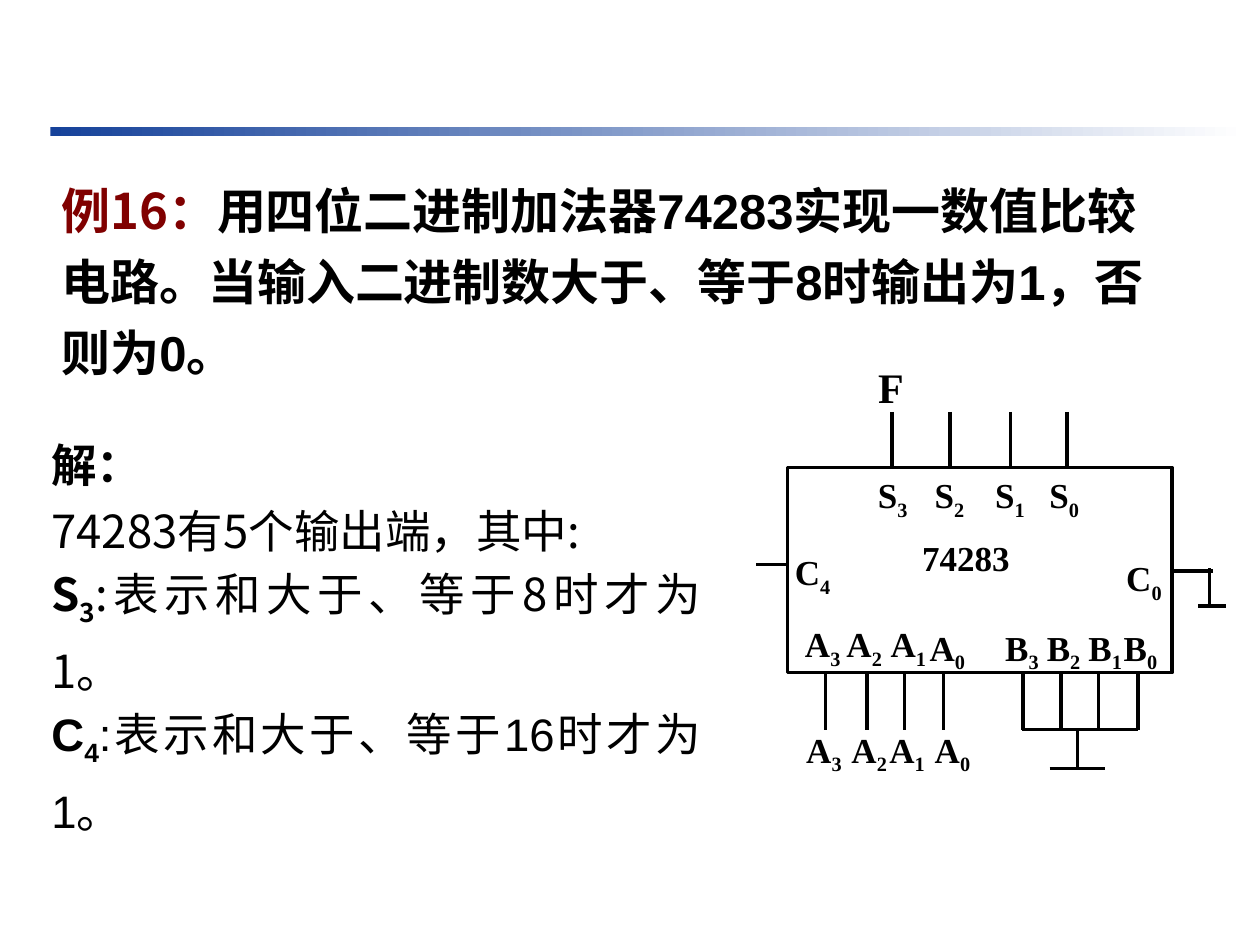
from dataclasses import dataclass
from lxml import etree
from pptx import Presentation
from pptx.dml.color import RGBColor as Rgb
from pptx.enum.shapes import MSO_CONNECTOR as Wire, MSO_SHAPE as Form
from pptx.enum.text import MSO_ANCHOR as Anchor, PP_ALIGN as Align
from pptx.oxml.ns import qn
from pptx.util import Inches, Pt


@dataclass(frozen=True)
class Theme:
    ink: str = "000000"
    paper: str = "FFFFFF"
    blue: str = "16429A"
    red: str = "800000"
    hans: str = "Noto Sans CJK SC"
    sans: str = "Arial"
    serif: str = "Times New Roman"
    title: int = 28
    body: int = 26
    mark: int = 24
    pin: int = 20
    line: int = 2


class Board:
    cols, rows = 100, 75

    def __init__(self, deck, theme):
        self.theme = theme
        self.unit = deck.slide_width / self.cols
        self.slide = deck.slides.add_slide(deck.slide_layouts[6])
        self.shapes = self.slide.shapes

    def grid(self, *spots):
        return [round(spot * self.unit) for spot in spots]

    def group(self):
        self.shapes = self.slide.shapes.add_group_shape().shapes

    def rect(self, *area):
        shape = self.shapes.add_shape(Form.RECTANGLE, *self.grid(*area))
        shape.shadow.inherit = False
        shape.fill.background()
        shape.line.fill.background()
        return shape

    def bar(self, *area):
        fill = self.rect(*area).fill
        fill.gradient()
        fill.gradient_angle = 0
        tones = (self.theme.blue, self.theme.paper)
        for stop, tone, place in zip(fill.gradient_stops, tones, (0, 1)):
            stop.color.rgb = Rgb.from_string(tone)
            stop.position = place

    def chip(self, *area):
        line = self.rect(*area).line
        line.color.rgb = Rgb.from_string(self.theme.ink)
        line.width = Pt(self.theme.line)

    def wire(self, *ends):
        link = self.shapes.add_connector(Wire.STRAIGHT, *self.grid(*ends))
        link.line.color.rgb = Rgb.from_string(self.theme.ink)
        link.line.width = Pt(self.theme.line)
        etree.SubElement(link._element.spPr, qn("a:effectLst"))

    def box(self, *area):
        frame = self.shapes.add_textbox(*self.grid(*area)).text_frame
        frame.word_wrap = True
        frame.vertical_anchor = Anchor.TOP
        return frame

    def run(self, para, text, size, face, bold=True, tone=None, sub=False):
        run = para.add_run()
        run.text = text
        font = run.font
        font.size, font.name, font.bold = Pt(size), face, bold
        font.color.rgb = Rgb.from_string(tone or self.theme.ink)
        east = etree.SubElement(font._element, qn("a:ea"))
        east.set("typeface", self.theme.hans)
        if sub:
            font._element.set("baseline", "-25000")

    def title(self, area, head, text):
        para = self.box(*area).paragraphs[0]
        para.line_spacing = Pt(40.4)
        size = self.theme.title
        self.run(para, head, size, self.theme.hans, tone=self.theme.red)
        self.run(para, text, size, self.theme.sans)

    def body(self, area, paras):
        frame = self.box(*area)
        for at, (lead, face, runs) in enumerate(paras):
            para = frame.add_paragraph() if at else frame.paragraphs[0]
            para.alignment = Align.JUSTIFY
            para.line_spacing = Pt(lead)
            para._p.get_or_add_pPr().set("marL", str(Inches(0.04)))
            for text, bold, sub in runs:
                self.run(para, text, self.theme.body, face, bold, sub=sub)

    def label(self, x, y, name, sub="", size=None, wide=6.6, high=5.2):
        para = self.box(x, y, wide, high).paragraphs[0]
        size = size or self.theme.pin
        self.run(para, name, size, self.theme.serif)
        if sub:
            self.run(para, sub, size, self.theme.serif, sub=True)

    def pins(self, name, spots):
        for digit, (x, y) in zip("3210", spots):
            self.label(x, y, name, digit)


def main():
    theme = Theme()
    deck = Presentation()
    deck.slide_width, deck.slide_height = Inches(10), Inches(7.5)
    board = Board(deck, theme)

    board.bar(4, 10.1, 94.9, 0.7)
    board.body((2.7, 33.3, 53.9, 27.8), [
        (37.7, theme.hans, [("解：", True, False)]),
        (37.7, theme.hans, [("74283有5个输出端，其中:", False, False)]),
        (40, theme.hans, [("S", True, False), ("3", True, True),
                          (":表示和大于、等于8时才为1。", False, False)]),
        (40, theme.sans, [("C", True, False), ("4", True, True),
                          (":表示和大于、等于16时才为1。", False, False)]),
    ])
    board.title(
        (3.9, 12.9, 88.7, 7.8), "例16：",
        "用四位二进制加法器74283实现一数值比较电路。"
        "当输入二进制数大于、等于8时输出为1，否则为0。")

    board.group()
    left, top, wide, high = 62.5, 37.1, 30.5, 16.3
    base, right, rail, foot = top + high, left + wide, 57.9, 61
    board.chip(left, top, wide, high)
    for x in (70.8, 75.4, 80.2, 84.7):
        board.wire(x, 32.7, x, top)
    for x in (65.5, 68.8, 71.8, 74.9, 81.2, 84.2, 87.2, 90.3):
        board.wire(x, base, x, rail)
    for ends in (
        (right, 45.3, 96.3, 45.3),
        (96, 45.1, 96, 48.1),
        (95.1, 48.1, 97.3, 48.1),
        (left, 44.8, 60, 44.8),
        (81.1, rail, 90.3, rail),
        (85.5, rail, 85.5, foot),
        (83.3, foot, 87.7, foot),
    ):
        board.wire(*ends)

    board.pins("S", [(x, top) for x in (68.7, 73.2, 78, 82.3)])
    board.pins("A", [(62.9, 48.9), (66.2, 48.9), (69.7, 48.9), (72.8, 49.2)])
    board.pins("B", [(x, 49.2) for x in (78.8, 82.1, 85.4, 88.2)])
    board.pins("A", [(x, 57.3) for x in (63, 66.6, 69.6, 73.2)])
    board.label(62.1, 43.2, "C", "4")
    board.label(88.4, 43.7, "C", "0")
    board.label(72.2, 42.1, "74283", wide=10.9)
    board.label(68.7, 28.2, "F", size=theme.mark, wide=4.8, high=4.4)
    deck.save("out.pptx")


if __name__ == "__main__":
    main()
